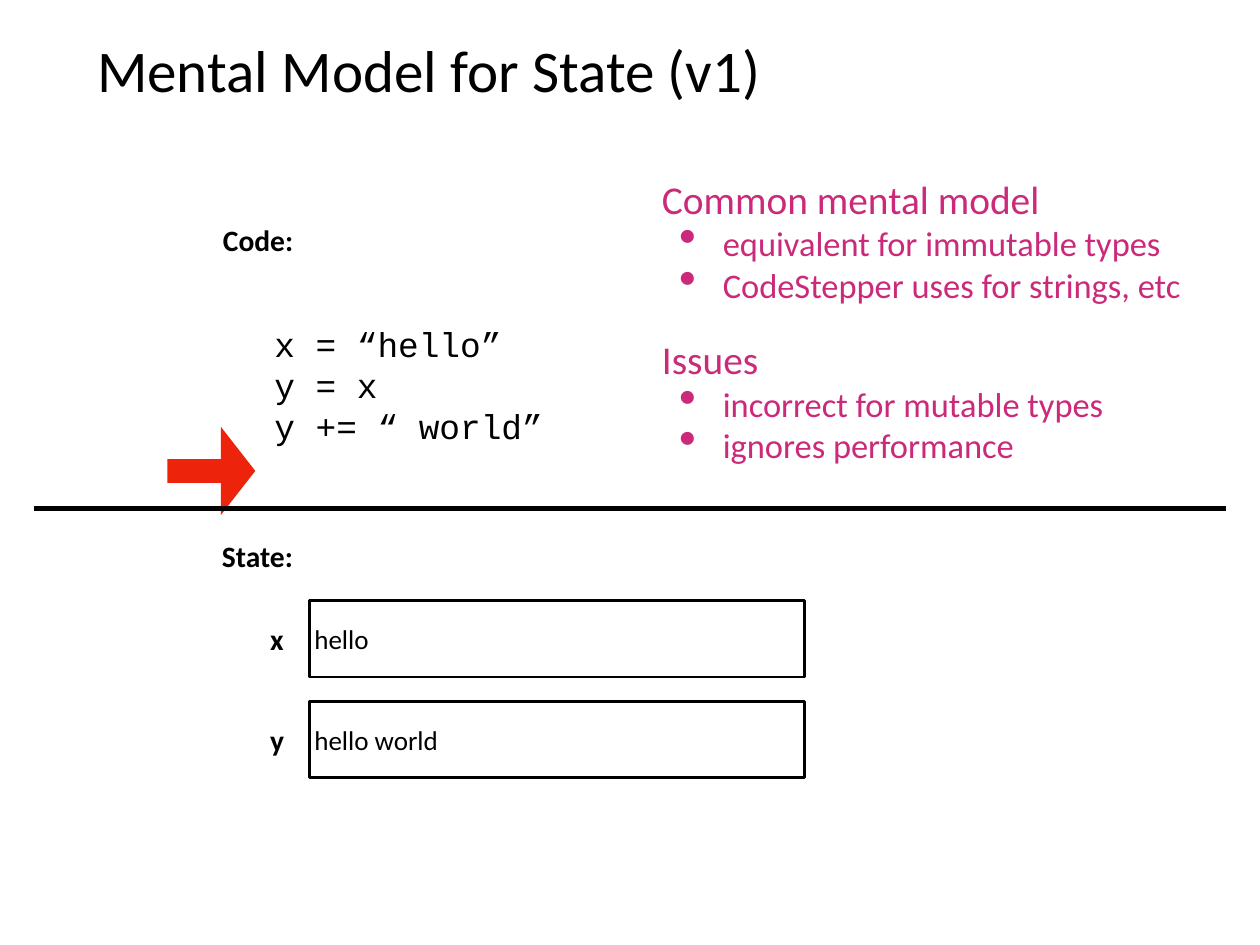
"""Build the slide on a mental model for program state."""
from dataclasses import dataclass

import pptx
import pptx.dml.color
import pptx.enum.shapes
import pptx.enum.text
import pptx.oxml.ns
import pptx.util
from lxml import etree

Pt = pptx.util.Pt
Shapes = pptx.enum.shapes.MSO_SHAPE
Anchor = pptx.enum.text.MSO_ANCHOR
Align = pptx.enum.text.PP_ALIGN
qn = pptx.oxml.ns.qn


@dataclass(frozen=True)
class Theme:
    black = pptx.dml.color.RGBColor.from_string("000000")
    pink = pptx.dml.color.RGBColor.from_string("CB2A7A")
    red = pptx.dml.color.RGBColor.from_string("EE230C")
    body = "Calibri"
    mono = "Courier New"
    title = 48
    heading = 32
    detail = 28
    label = 24
    value = 22


theme = Theme()


def prepare(frame, wrap, anchor=Anchor.MIDDLE):
    """Set the insets, wrapping and anchor of a text frame."""
    frame.margin_left = frame.margin_right = Pt(4)
    frame.margin_top = frame.margin_bottom = Pt(4)
    frame.word_wrap = wrap
    frame.vertical_anchor = anchor
    return frame


def write(paragraph, text, size, color=theme.black, font=theme.body, bold=False):
    """Add one run of styled text to a paragraph."""
    run = paragraph.add_run()
    run.text = text
    run.font.size = Pt(size)
    run.font.name = font
    run.font.bold = bold
    run.font.color.rgb = color


deck = pptx.Presentation()
deck.slide_width, deck.slide_height = Pt(1024), Pt(768)
slide = deck.slides.add_slide(deck.slide_layouts[6])
shapes = slide.shapes

title = prepare(shapes.add_textbox(Pt(75), Pt(20), Pt(874), Pt(71.5)).text_frame, True)
write(title.paragraphs[0], "Mental Model for State (v1)", theme.title)

labels = [
    ("Code:", 170.5, 177, 78.5, Align.CENTER),
    ("State:", 169, 434, 80.5, Align.CENTER),
    ("x", 215.5, 501, 23.5, Align.LEFT),
    ("y", 215.5, 583, 23, Align.LEFT),
]
for name, left, top, width, alignment in labels:
    label = prepare(shapes.add_textbox(Pt(left), Pt(top), Pt(width), Pt(36)).text_frame, False)
    label.paragraphs[0].alignment = alignment
    write(label.paragraphs[0], name, theme.label, bold=True)

for row, value in enumerate(["hello", "hello world"]):
    cell = shapes.add_shape(Shapes.RECTANGLE, Pt(251.5), Pt(488 + 82 * row), Pt(402.5), Pt(62))
    cell.shadow.inherit = False
    cell.fill.background()
    cell.line.color.rgb = theme.black
    cell.line.width = Pt(2)
    content = prepare(cell.text_frame, True).paragraphs[0]
    content.alignment = Align.LEFT
    write(content, value, theme.value)

code = prepare(shapes.add_textbox(Pt(219), Pt(258.5), Pt(227.5), Pt(110)).text_frame, False, Anchor.TOP)
for index, statement in enumerate(["x = “hello”", "y = x", "y += “ world”"]):
    line = code.add_paragraph() if index else code.paragraphs[0]
    line.line_spacing = Pt(33.5)
    write(line, statement, theme.detail, font=theme.mono)

current_step = shapes.add_shape(Shapes.RIGHT_ARROW, Pt(136), Pt(347), Pt(71.5), Pt(71.5))
current_step.adjustments[0] = 0.27
current_step.adjustments[1] = 0.39
current_step.shadow.inherit = False
current_step.fill.solid()
current_step.fill.fore_color.rgb = theme.red
current_step.line.fill.background()

notes = [
    ("Common mental model", 141, ["equivalent for immutable types", "CodeStepper uses for strings, etc"]),
    ("Issues", 271.5, ["incorrect for mutable types", "ignores performance"]),
]
for heading, top, points in notes:
    note = prepare(shapes.add_textbox(Pt(534), Pt(top), Pt(440), Pt(108)).text_frame, True)
    write(note.paragraphs[0], heading, theme.heading, theme.pink)
    for point in points:
        bullet = note.add_paragraph()
        properties = bullet._p.get_or_add_pPr()
        properties.set("marL", str(Pt(49.5)))
        properties.set("indent", str(Pt(-35.5)))
        etree.SubElement(properties, qn("a:buSzPct"), val="145000")
        etree.SubElement(properties, qn("a:buChar"), char="•")
        write(bullet, point, theme.detail, theme.pink)

divider = shapes.add_connector(
    pptx.enum.shapes.MSO_CONNECTOR.STRAIGHT, Pt(27.5), Pt(413), Pt(996.5), Pt(413)
)
divider.line.color.rgb = theme.black
divider.line.width = Pt(4)
etree.SubElement(divider._element.spPr, qn("a:effectLst"))

deck.save("out.pptx")
